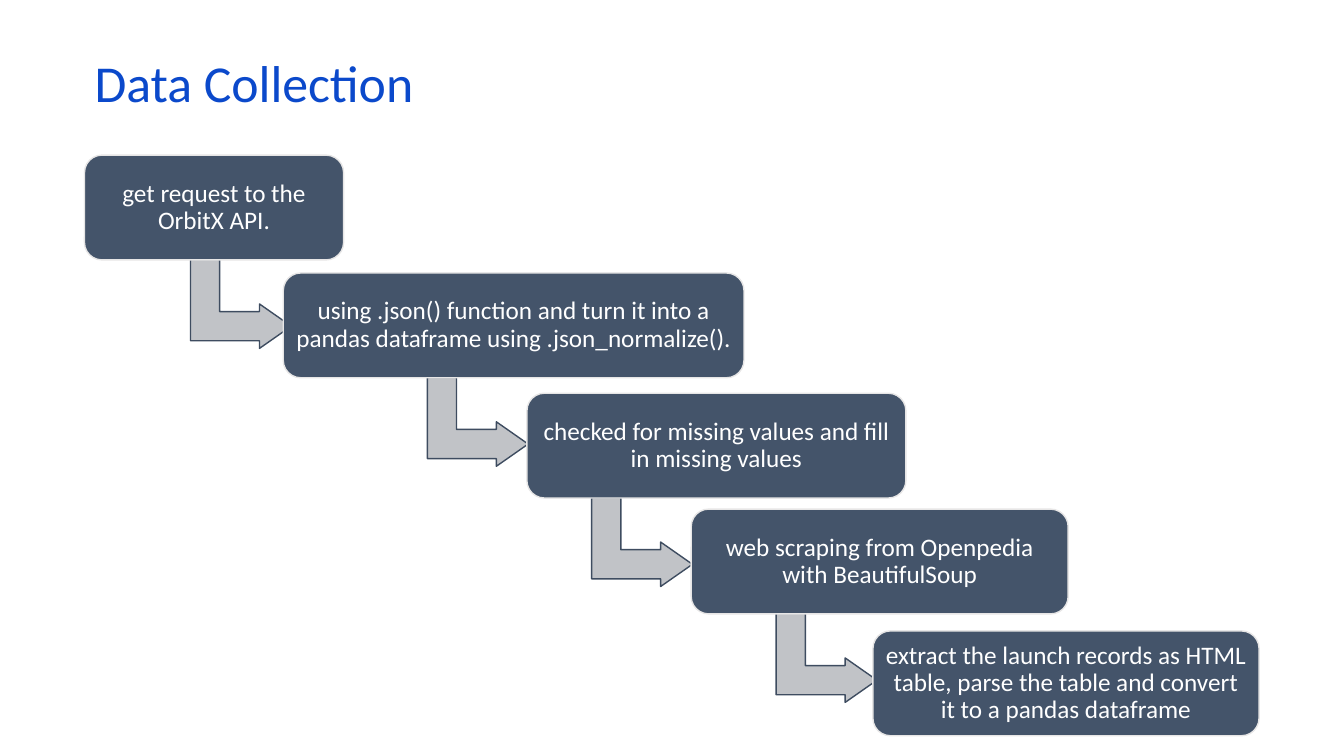
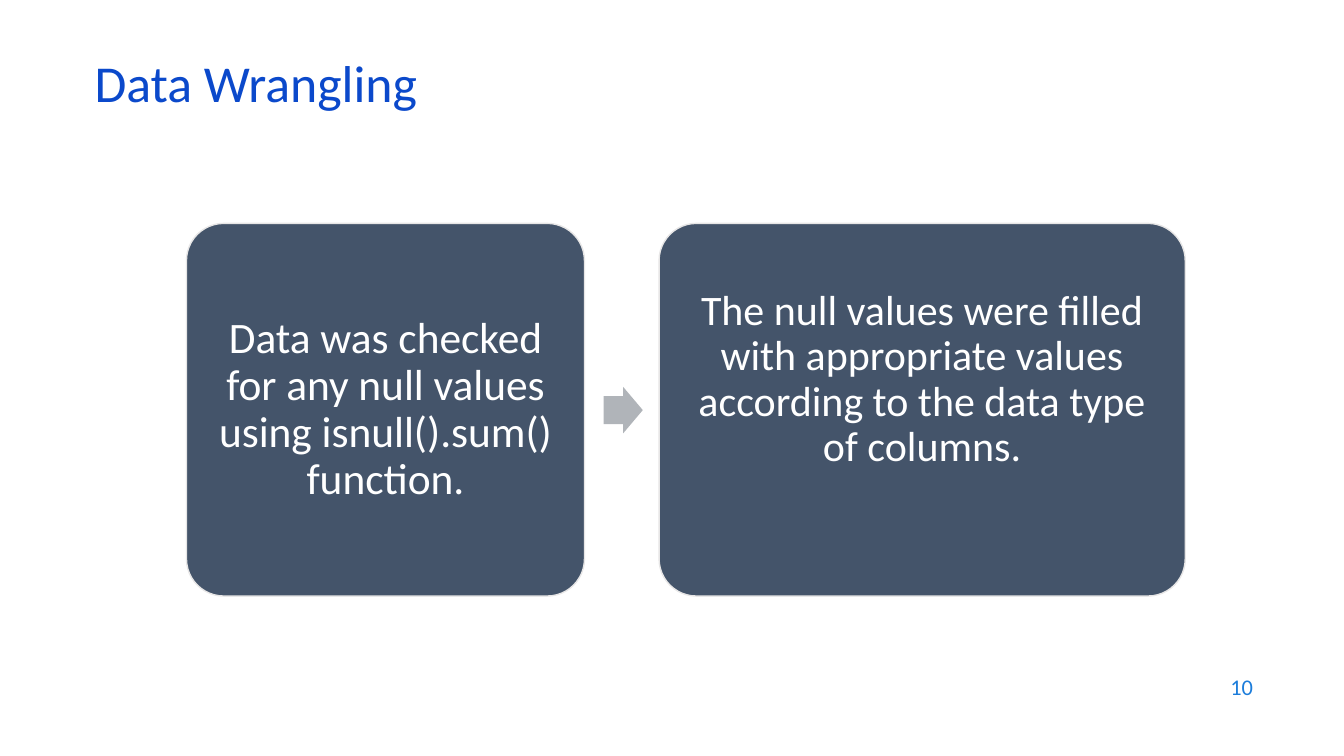
"""Build two process-flow slides: data collection and data wrangling."""
from dataclasses import dataclass

from pptx import Presentation
from pptx.dml.color import RGBColor
from pptx.enum.shapes import MSO_SHAPE
from pptx.enum.text import MSO_ANCHOR, MSO_AUTO_SIZE, PP_ALIGN
from pptx.util import Cm, Pt

ROUNDED = MSO_SHAPE.ROUNDED_RECTANGLE
BENT_ARROW = MSO_SHAPE.BENT_UP_ARROW
RIGHT_ARROW = MSO_SHAPE.RIGHT_ARROW
MIDDLE = MSO_ANCHOR.MIDDLE
NO_AUTOFIT = MSO_AUTO_SIZE.NONE
LEFT, CENTER, RIGHT = PP_ALIGN.LEFT, PP_ALIGN.CENTER, PP_ALIGN.RIGHT
TITLE_ONLY = 5


@dataclass(frozen=True)
class Theme:
    font: str = "Calibri"
    title: str = "0B49CB"
    number: str = "1C7DDB"
    box: str = "44546A"
    box_line: str = "E7E6E6"
    box_text: str = "FFFFFF"
    elbow: str = "C1C3C7"
    elbow_line: str = "3E4C60"
    arrow: str = "B0B4B9"
    title_size: float = 37
    number_size: float = 16
    step_size: float = 18
    check_size: float = 31
    fill_size: float = 30


class Deck:
    def __init__(self, theme):
        self.theme = theme
        self.presentation = Presentation()
        self.presentation.slide_width = Cm(33.87)
        self.presentation.slide_height = Cm(19.05)
        self.slide = None

    def add_slide(self, title):
        layout = self.presentation.slide_layouts[TITLE_ONLY]
        self.slide = self.presentation.slides.add_slide(layout)
        shape = self.slide.shapes.title
        shape.left, shape.top = Cm(2.13), Cm(1.5)
        shape.width, shape.height = Cm(29.21), Cm(1.52)
        self.set_text(shape, title, self.theme.title_size, self.theme.title, LEFT, 0.7)

    def set_text(self, shape, text, size, color, alignment, line_spacing=1.0):
        frame = shape.text_frame
        frame.word_wrap = True
        frame.auto_size = NO_AUTOFIT
        frame.vertical_anchor = MIDDLE
        frame.text = text
        paragraph = frame.paragraphs[0]
        paragraph.alignment = alignment
        paragraph.line_spacing = line_spacing
        paragraph.font.name = self.theme.font
        paragraph.font.size = Pt(size)
        paragraph.font.color.rgb = RGBColor.from_string(color)

    def shape(self, kind, left, top, width, height, adjustments, fill, line=None):
        shape = self.slide.shapes.add_shape(
            kind, Cm(left), Cm(top), Cm(width), Cm(height))
        shape.shadow.inherit = False
        for index, value in enumerate(adjustments):
            shape.adjustments[index] = value
        shape.fill.solid()
        shape.fill.fore_color.rgb = RGBColor.from_string(fill)
        if line:
            shape.line.color.rgb = RGBColor.from_string(line)
            shape.line.width = Pt(1)
        else:
            shape.line.fill.background()
        return shape

    def box(self, left, top, width, height, text, size, rounding, inset, bottom=None):
        shape = self.shape(ROUNDED, left, top, width, height, [rounding],
                           self.theme.box, self.theme.box_line)
        frame = shape.text_frame
        frame.margin_left = frame.margin_right = frame.margin_top = Cm(inset)
        frame.margin_bottom = Cm(bottom or inset)
        self.set_text(shape, text, size, self.theme.box_text, CENTER, 0.9)

    def elbow(self, left, top):
        shape = self.shape(BENT_ARROW, left, top, 2.24, 2.54, [0.328, 0.25, 0.358],
                           self.theme.elbow, self.theme.elbow_line)
        shape.rotation = 90

    def arrow(self, left, top, width, height):
        self.shape(RIGHT_ARROW, left, top, width, height, [0.6, 0.5], self.theme.arrow)

    def page_number(self, number):
        shape = self.slide.shapes.add_textbox(Cm(24.21), Cm(16.74), Cm(7.62), Cm(1.12))
        self.set_text(shape, number, self.theme.number_size, self.theme.number, RIGHT)


def build_collection(deck):
    deck.add_slide("Data Collection")
    steps = [
        (2.13, 3.91, 6.53, 4.95, "get request to the OrbitX API."),
        (7.14, 6.88, 11.61, 10.92,
         "using .json() function and turn it into a pandas dataframe "
         "using .json_normalize()."),
        (13.28, 9.91, 9.55, 15.06,
         "checked for missing values and fill in missing values"),
        (17.42, 12.83, 9.5, 19.71, "web scraping from Openpedia with BeautifulSoup"),
        (22, 15.9, 9.73, None,
         "extract the launch records as HTML table, parse the table "
         "and convert it to a pandas dataframe"),
    ]
    for left, top, width, elbow_left, text in steps:
        if elbow_left is not None:
            deck.elbow(elbow_left, top + 2.48)
        deck.box(left, top, width, 2.64, text, deck.theme.step_size, 0.167, 0.18)


def build_wrangling(deck):
    deck.add_slide("Data Wrangling")
    top, height = 5.63, 9.39
    deck.box(4.7, top, 10.03, height,
             "Data was checked for any null values using isnull().sum() function.",
             deck.theme.check_size, 0.1, 0.33)
    deck.arrow(15.21, 9.75, 0.99, 1.17)
    deck.box(16.61, top, 13.26, height,
             "The null values were filled with appropriate values according to "
             "the data type of columns.",
             deck.theme.fill_size, 0.1, 0.3, bottom=1.8)
    deck.page_number("10")


def main():
    deck = Deck(Theme())
    build_collection(deck)
    build_wrangling(deck)
    deck.presentation.save("out.pptx")


if __name__ == "__main__":
    main()
